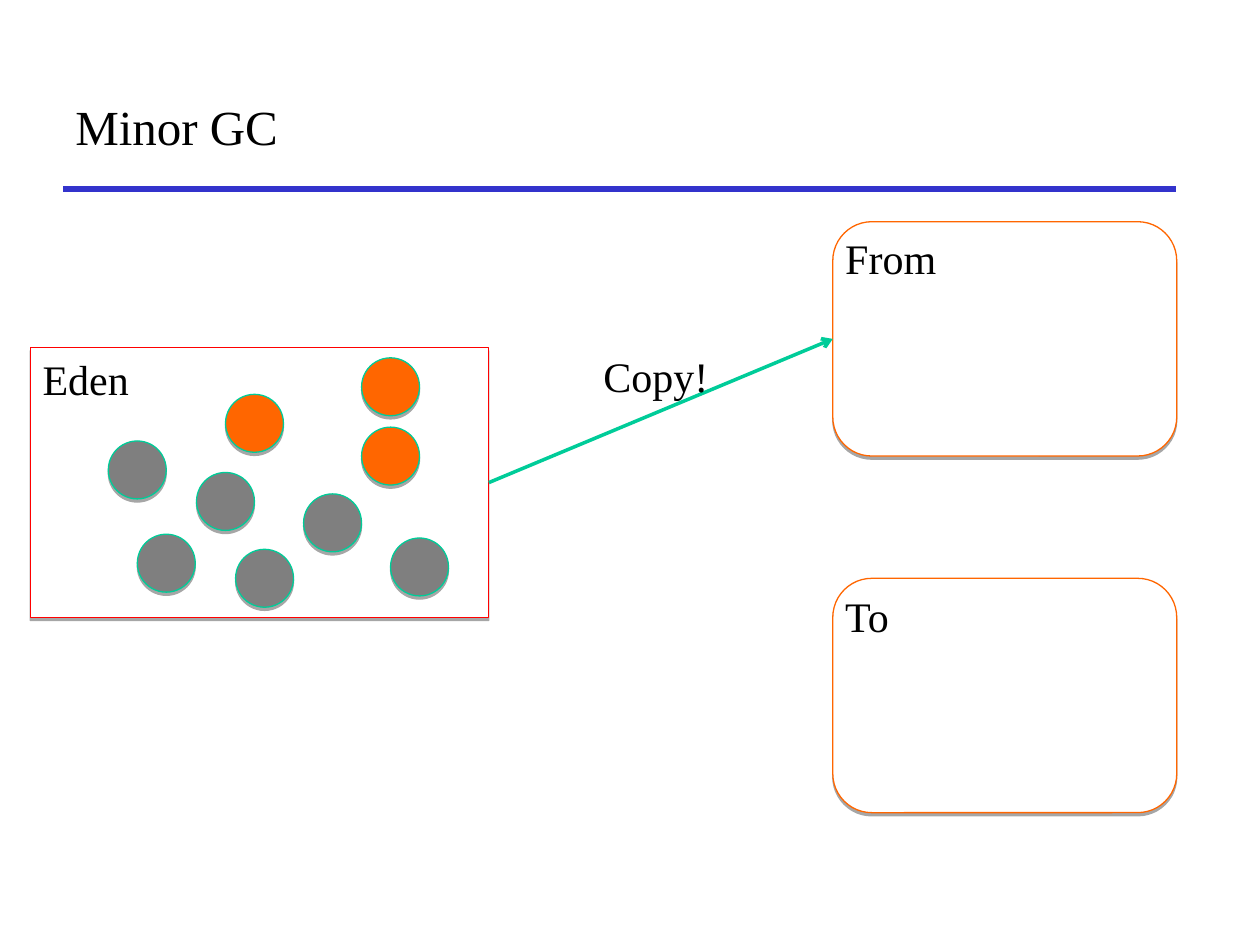
from typing import NamedTuple

from lxml.etree import SubElement
from pptx import Presentation
from pptx.dml.color import RGBColor
from pptx.enum.shapes import MSO_CONNECTOR as Connector, MSO_SHAPE as Shape
from pptx.enum.text import MSO_ANCHOR as Anchor, MSO_AUTO_SIZE as AutoSize
from pptx.oxml.ns import qn
from pptx.slide import Slide
from pptx.util import Inches, Pt

BLACK = RGBColor(0x00, 0x00, 0x00)
WHITE = RGBColor(0xFF, 0xFF, 0xFF)
RED = RGBColor(0xFF, 0x00, 0x00)
ORANGE = RGBColor(0xFF, 0x66, 0x00)
GRAY = RGBColor(0x7F, 0x7F, 0x7F)
BLUE = RGBColor(0x33, 0x33, 0xCC)
GREEN = RGBColor(0x00, 0xCC, 0x98)
ARROW_GREEN = RGBColor(0x00, 0xCC, 0x99)
FONT = "Times New Roman"
OBJECT_SIZE = 0.46


class Area(NamedTuple):
    left: float
    top: float
    width: float
    height: float


class Region(NamedTuple):
    kind: Shape
    area: Area
    outline: RGBColor


class Label(NamedTuple):
    text: str
    area: Area
    size: int = 24
    wrap: bool = True
    anchor: Anchor = Anchor.TOP


class HeapObject(NamedTuple):
    left: float
    top: float
    color: RGBColor


REGIONS = [
    Region(Shape.RECTANGLE, Area(0.24, 2.76, 3.64, 2.14), RED),
    Region(Shape.ROUNDED_RECTANGLE, Area(6.61, 1.76, 2.73, 1.86), ORANGE),
    Region(Shape.ROUNDED_RECTANGLE, Area(6.61, 4.59, 2.73, 1.86), ORANGE),
]
TITLE = Label("Minor GC", Area(0.5, 0.5, 8.83, 1), 28, anchor=Anchor.MIDDLE)
REGION_LABELS = [
    Label("Eden", Area(0.24, 2.76, 1.43, 0.5)),
    Label("From", Area(6.61, 1.8, 1.48, 0.5)),
    Label("To", Area(6.61, 4.64, 0.91, 0.5)),
]
COPY_LABEL = Label("Copy!", Area(4.69, 2.73, 1.1, 0.5), wrap=False)
# Orange objects survive the collection, gray ones are garbage
OBJECTS = [
    HeapObject(0.86, 3.5, GRAY),
    HeapObject(1.79, 3.13, ORANGE),
    HeapObject(2.41, 3.92, GRAY),
    HeapObject(1.09, 4.24, GRAY),
    HeapObject(2.87, 3.39, ORANGE),
    HeapObject(1.56, 3.75, GRAY),
    HeapObject(2.87, 2.84, ORANGE),
    HeapObject(1.87, 4.36, GRAY),
    HeapObject(3.1, 4.27, GRAY),
]


def draw_shape(page: Slide, kind: Shape, area: Area, fill: RGBColor, outline: RGBColor) -> None:
    shape = page.shapes.add_shape(kind, *map(Inches, area))
    shape.fill.solid()
    shape.fill.fore_color.rgb = fill
    shape.line.color.rgb = outline
    shape.line.width = Pt(0.75)
    # Soft black shadow straight below
    shape.shadow.inherit = False
    effects = shape._element.spPr.find(qn("a:effectLst"))
    shadow = SubElement(effects, qn("a:outerShdw"), blurRad="0", dist=str(Pt(1.8)),
                        dir="5400000", algn="ctr", rotWithShape="0")
    color = SubElement(shadow, qn("a:srgbClr"), val=str(BLACK))
    SubElement(color, qn("a:alpha"), val="35000")


def draw_label(page: Slide, label: Label) -> None:
    box = page.shapes.add_textbox(*map(Inches, label.area))
    frame = box.text_frame
    frame.text = label.text
    frame.word_wrap = label.wrap
    frame.vertical_anchor = label.anchor
    frame.auto_size = AutoSize.NONE if label is TITLE else AutoSize.SHAPE_TO_FIT_TEXT
    font = frame.paragraphs[0].runs[0].font
    font.name = FONT
    font.size = Pt(label.size)
    font.color.rgb = BLACK


def draw_line(page: Slide, start: tuple[float, float], end: tuple[float, float],
              color: RGBColor, width: float, arrow: bool = False) -> None:
    line = page.shapes.add_connector(Connector.STRAIGHT, *map(Inches, start + end))
    line.line.color.rgb = color
    line.line.width = Pt(width)
    if arrow:
        SubElement(line.line._get_or_add_ln(), qn("a:tailEnd"), type="arrow")
    SubElement(line._element.spPr, qn("a:effectLst"))


def main() -> None:
    deck = Presentation()
    deck.slide_width, deck.slide_height = Inches(10), Inches(7.5)
    page = deck.slides.add_slide(deck.slide_layouts[6])

    # Title with its rule
    draw_line(page, (0.5, 1.5), (9.33, 1.5), BLUE, 3)
    draw_label(page, TITLE)

    # Memory regions
    for region in REGIONS:
        draw_shape(page, region.kind, region.area, WHITE, region.outline)
    for label in REGION_LABELS:
        draw_label(page, label)

    # Objects in Eden
    for item in OBJECTS:
        area = Area(item.left, item.top, OBJECT_SIZE, OBJECT_SIZE)
        draw_shape(page, Shape.OVAL, area, item.color, GREEN)

    # Copy from Eden to the survivor space
    draw_line(page, (3.88, 3.83), (6.61, 2.69), ARROW_GREEN, 2, arrow=True)
    draw_label(page, COPY_LABEL)

    deck.save("out.pptx")


if __name__ == "__main__":
    main()
